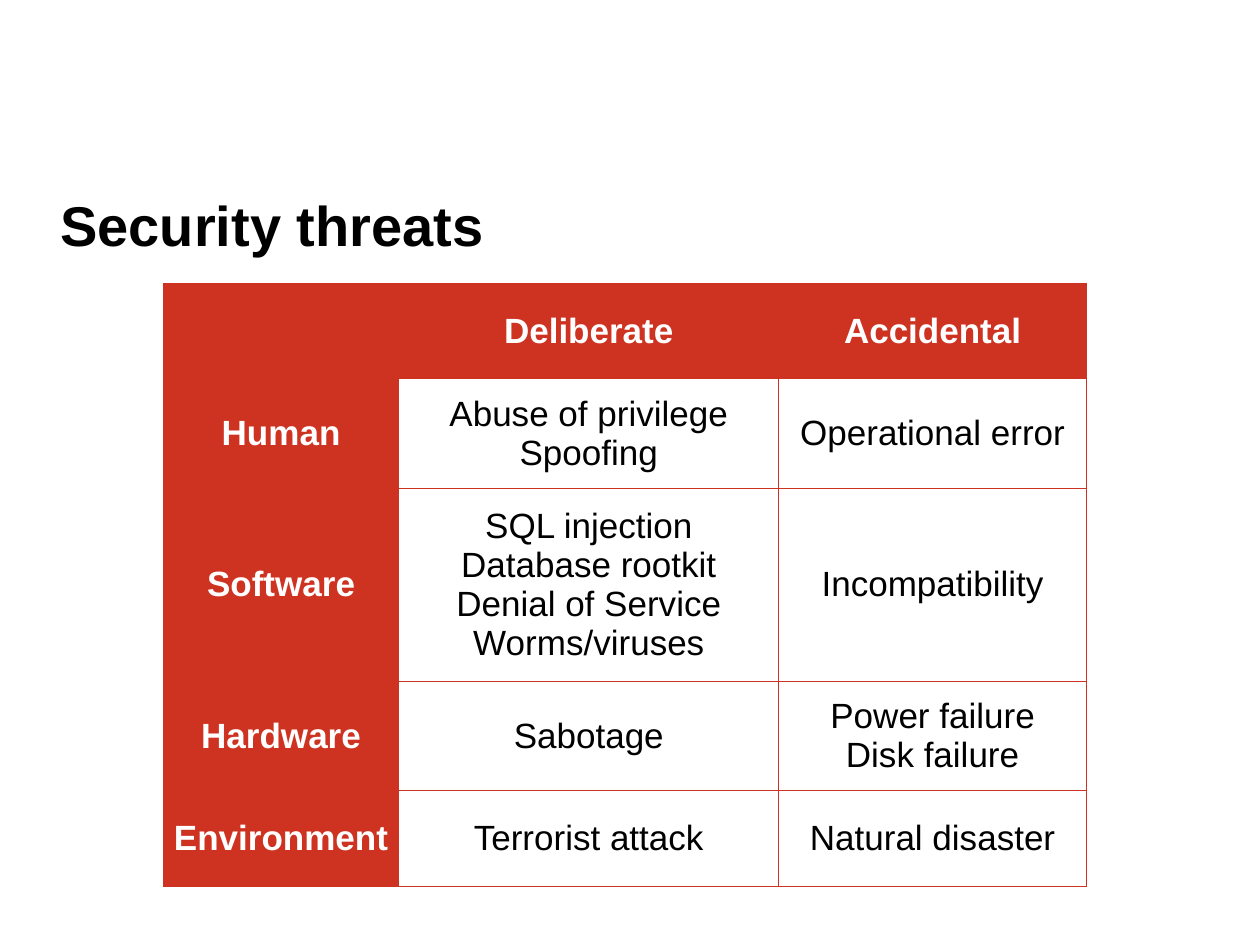
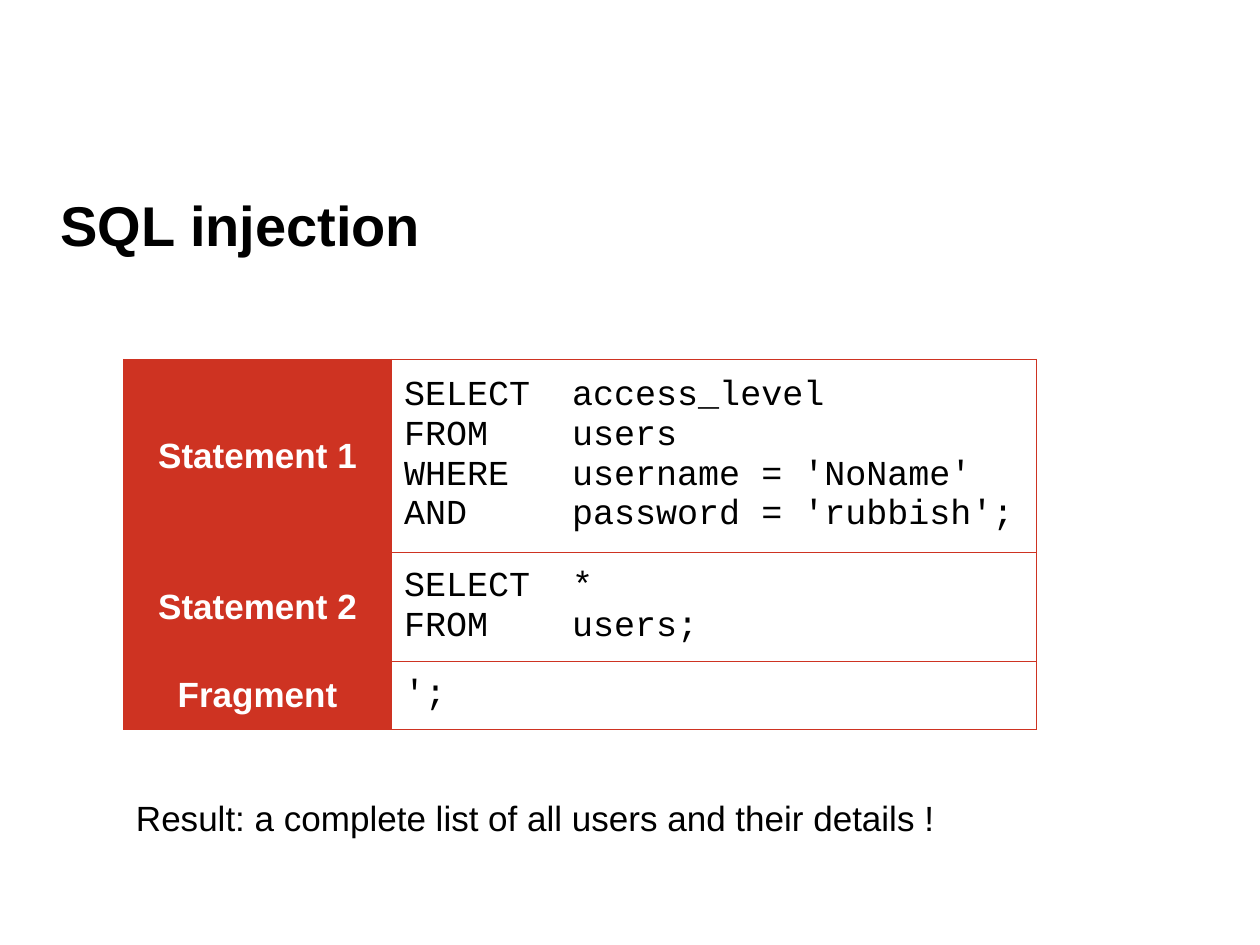
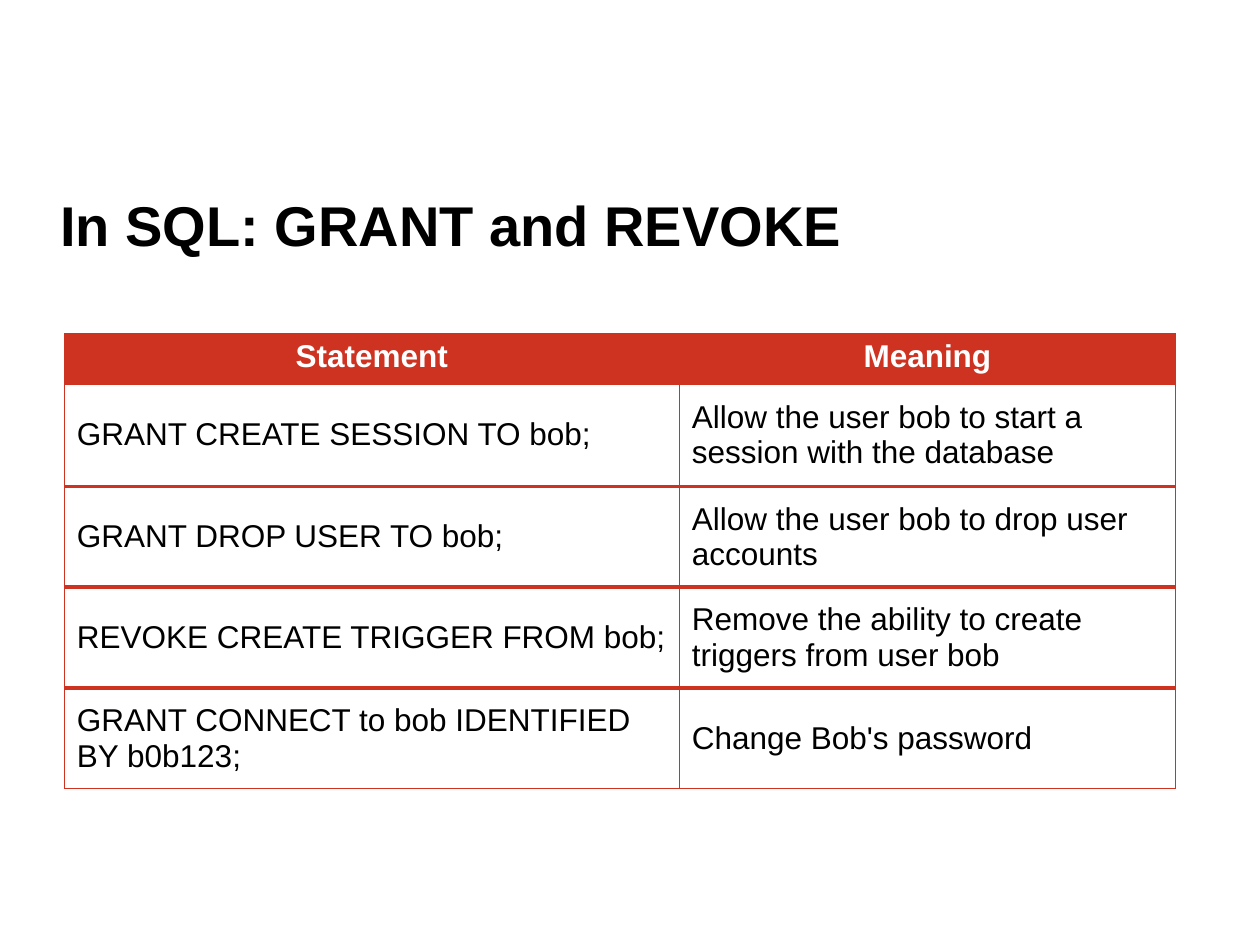
import lxml.etree
import pptx
import pptx.dml.color
import pptx.enum.text
import pptx.oxml.ns
import pptx.util

Pt = pptx.util.Pt
ALIGN = pptx.enum.text.PP_ALIGN
ANCHOR = pptx.enum.text.MSO_ANCHOR
qn = pptx.oxml.ns.qn

RED = pptx.dml.color.RGBColor(0xCE, 0x33, 0x22)
WHITE = pptx.dml.color.RGBColor(0xFF, 0xFF, 0xFF)
BLACK = pptx.dml.color.RGBColor(0, 0, 0)
SANS, MONO = "Arial", "Courier New"
HEAD_INSET, BODY_INSET = 2.88, 7.2
CODE_TAB = 96  # eight characters of 20 pt code


def style_text(para, size, color=BLACK, bold=False, font=SANS, align=ALIGN.LEFT):
    para.alignment = align
    para.font.name, para.font.size = font, Pt(size)
    para.font.bold = bold
    para.font.color.rgb = color


def add_text(page, text, left, top, width, height, size, bold=False, anchor=ANCHOR.TOP):
    box = page.shapes.add_textbox(Pt(left), Pt(top), Pt(width), Pt(height))
    frame = box.text_frame
    frame.word_wrap = True
    frame.vertical_anchor = anchor
    para = frame.paragraphs[0]
    para.text = text
    style_text(para, size, bold=bold)
    return para


def add_page(deck, title):
    page = deck.slides.add_slide(deck.slide_layouts[6])
    add_text(page, title, 27.4, 100.8, 665, 54.7, 32, True, ANCHOR.MIDDLE)
    return page


def add_tab_stop(para, position):
    stops = lxml.etree.Element(qn("a:tabLst"))
    lxml.etree.SubElement(stops, qn("a:tab"), pos=str(Pt(position)), algn="l")
    # Tab stops come before the default run properties
    para.font  # makes sure that those properties exist
    para._p.pPr.find(qn("a:defRPr")).addprevious(stops)


def set_borders(cell, widths):
    """Draw the left, right, top and bottom edges in red."""
    properties = cell._tc.get_or_add_tcPr()
    for index, (side, width) in enumerate(zip("LRTB", widths)):
        line = lxml.etree.Element(qn("a:ln" + side), w=str(Pt(width)))
        fill = lxml.etree.SubElement(line, qn("a:solidFill"))
        lxml.etree.SubElement(fill, qn("a:srgbClr"), val=str(RED))
        properties.insert(index, line)


def style_cell(cell, text, is_head, size, font, align, anchor):
    inset = Pt(HEAD_INSET if is_head else BODY_INSET)
    cell.margin_left = cell.margin_right = inset
    cell.margin_top = cell.margin_bottom = inset
    cell.vertical_anchor = anchor
    if is_head:
        cell.fill.solid()
        cell.fill.fore_color.rgb = RED
    else:
        cell.fill.background()
    para = cell.text_frame.paragraphs[0]
    para.text = text
    if is_head:
        style_text(para, size, WHITE, True, align=ALIGN.CENTER)
    else:
        style_text(para, size, font=font, align=align)
    if "\t" in text:
        add_tab_stop(para, CODE_TAB)


def add_grid(page, left, top, columns, heights, rows, size, head_row=False,
             head_column=False, font=SANS, align=ALIGN.LEFT,
             head_anchor=ANCHOR.MIDDLE, edge=0.75, rule=0.75):
    """Add a table; edge is the thin line width, rule the one between rows."""
    table = page.shapes.add_table(
        len(rows), len(columns), Pt(left), Pt(top),
        Pt(sum(columns)), Pt(sum(heights))).table
    table.first_row = table.horz_banding = False
    for column, width in zip(table.columns, columns):
        column.width = Pt(width)
    for row, height in zip(table.rows, heights):
        row.height = Pt(height)
    last = len(rows) - 1
    for r, texts in enumerate(rows):
        for c, text in enumerate(texts):
            cell = table.cell(r, c)
            is_head = (head_row and r == 0) or (head_column and c == 0)
            style_cell(cell, text, is_head, size, font, align,
                       head_anchor if is_head else ANCHOR.MIDDLE)
            set_borders(cell, (edge, edge, edge if r == 0 else rule,
                               edge if r == last else rule))


def add_threats(deck):
    page = add_page(deck, "Security threats")
    rows = [
        ("", "Deliberate", "Accidental"),
        ("Human", "Abuse of privilege\nSpoofing", "Operational error"),
        ("Software",
         "SQL injection\nDatabase rootkit\nDenial of Service\nWorms/viruses",
         "Incompatibility"),
        ("Hardware", "Sabotage", "Power failure\nDisk failure"),
        ("Environment", "Terrorist attack", "Natural disaster"),
    ]
    add_grid(page, 93.4, 162, (134.5, 217.2, 175.8), (54.5, 60, 105.8, 60, 54.7),
             rows, 20, head_row=True, head_column=True, align=ALIGN.CENTER, edge=0.5,
             rule=0.5)


def add_injection(deck):
    page = add_page(deck, "SQL injection")
    result = add_text(page, "Result: a complete list of all users and their details !",
                      70.6, 451.4, 510.5, 45.4, 20)
    result.space_before = Pt(4)
    rows = [
        ("Statement 1", "SELECT\taccess_level\nFROM\tusers\n"
         "WHERE\tusername = 'NoName'\nAND\tpassword = 'rubbish';"),
        ("Statement 2", "SELECT\t*\nFROM\tusers;"),
        ("Fragment", "';"),
    ]
    add_grid(page, 70.6, 205.3, (153.1, 368.4), (105.8, 60.5, 37.7), rows, 20,
             head_column=True, font=MONO)


def add_privileges(deck):
    page = add_page(deck, "In SQL: GRANT and REVOKE")
    rows = [
        ("Statement", "Meaning"),
        ("GRANT CREATE SESSION TO bob;",
         "Allow the user bob to start a session with the database"),
        ("GRANT DROP USER TO bob;", "Allow the user bob to drop user accounts"),
        ("REVOKE CREATE TRIGGER FROM bob;",
         "Remove the ability to create triggers from user bob"),
        ("GRANT CONNECT to bob IDENTIFIED BY b0b123;", "Change Bob's password"),
    ]
    add_grid(page, 36.8, 190.6, (351.4, 283.6), (28.3, 59) + (55.3,) * 3, rows, 18,
             head_row=True, head_anchor=ANCHOR.TOP, rule=2.25)


def main():
    deck = pptx.Presentation()
    deck.slide_width, deck.slide_height = Pt(720), Pt(540)
    add_threats(deck)
    add_injection(deck)
    add_privileges(deck)
    deck.save("out.pptx")


main()
